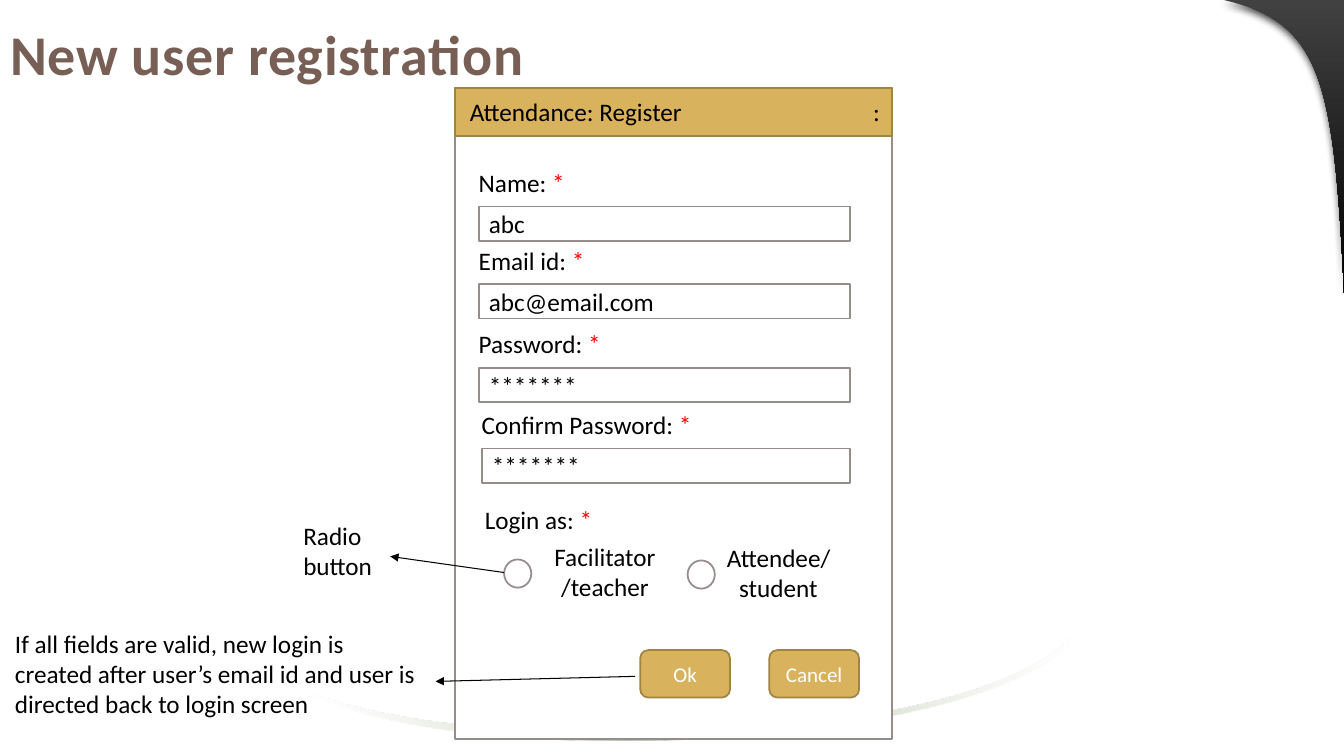
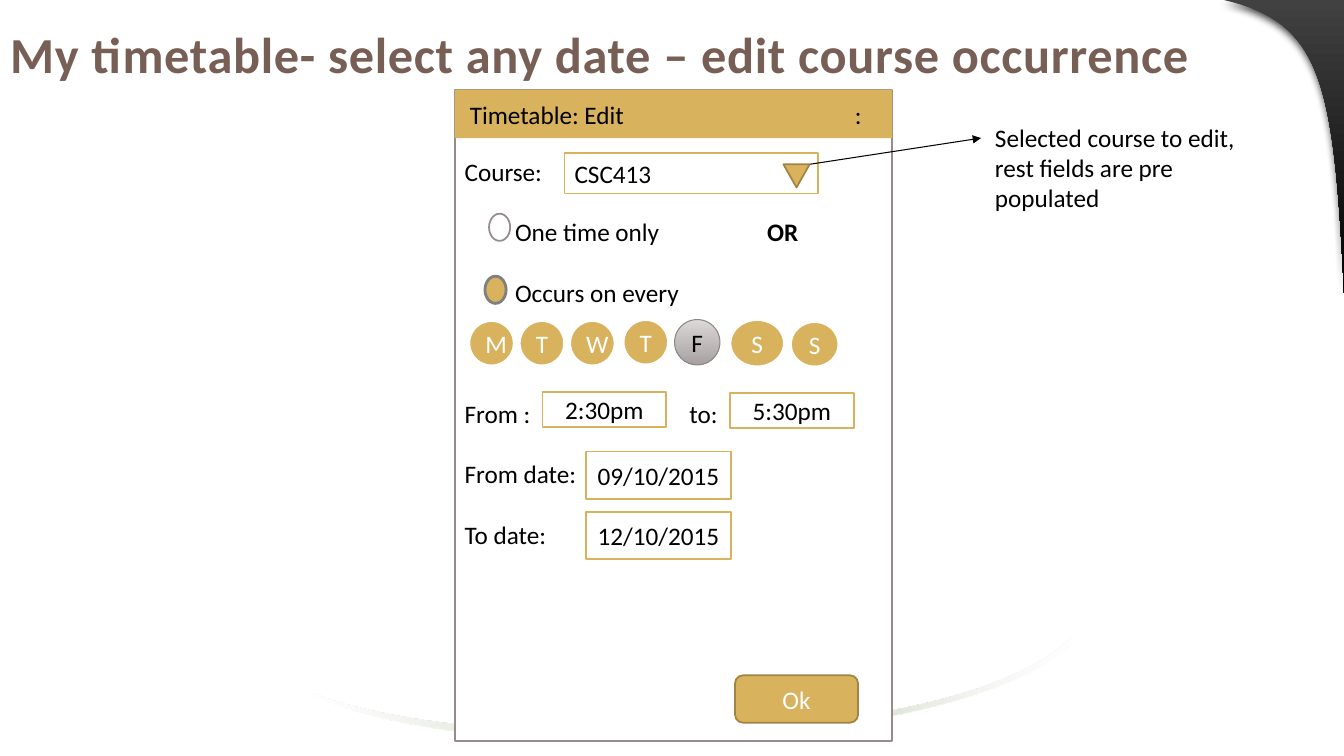
from dataclasses import dataclass

from lxml import etree
from pptx import Presentation
from pptx.dml.color import RGBColor
from pptx.enum import shapes, text
from pptx.oxml.ns import qn
from pptx.util import Inches, Pt

KIND = shapes.MSO_SHAPE
ALIGN = text.PP_ALIGN
ANCHOR = text.MSO_ANCHOR


@dataclass(frozen=True)
class Theme:
    font: str = "Calibri"
    ink: str = "000000"
    white: str = "FFFFFF"
    red: str = "FF0000"
    brown: str = "775F55"
    gold: str = "D8B25C"
    bronze: str = "A08444"
    gray: str = "968C8C"
    steel: str = "808080"
    dusk: str = "8F8686"
    leaf: str = "9CB084"
    silver: tuple = (("DCD9D9", 100), ("A7A0A0", 100))
    night: tuple = (("414141", 100), ("000000", 100))
    head: int = 40
    long: int = 36
    body: int = 18
    small: int = 15
    thin: float = 0.75
    edge: float = 1.25
    thick: float = 2


def rgb(code):
    return RGBColor.from_string(code)


def node(parent, tag, **attrs):
    return etree.SubElement(parent, qn(tag), {k: str(v) for k, v in attrs.items()})


def tint(parent, code, alpha=100):
    """Add a colour element, with its opacity in percent."""
    color = node(parent, "a:srgbClr", val=code)
    if alpha < 100:
        node(color, "a:alpha", val=alpha * 1000)


def cast(parent, blur, dist, angle, alpha):
    """Add an outer shadow to an effect list."""
    drop = node(parent, "a:outerShdw", blurRad=Pt(blur), dist=Pt(dist),
                dir=angle * 60000, algn="tl", rotWithShape=0)
    tint(drop, "000000", alpha)


def blend(shape, stops, angle=270):
    """Fill with evenly spaced (colour, opacity) stops."""
    shape.fill.gradient()
    shape.fill.gradient_angle = angle
    marks = shape.element.spPr.find(qn("a:gradFill")).find(qn("a:gsLst"))
    for old in list(marks):
        marks.remove(old)
    for i, (code, alpha) in enumerate(stops):
        stop = node(marks, "a:gs", pos=100000 * i // (len(stops) - 1))
        tint(stop, code, alpha)


def curve(a, b, c, d, steps=32):
    """Points of a cubic Bezier curve, in EMU."""
    points = []
    for i in range(steps + 1):
        t = i / steps
        s = 1 - t
        points.append(tuple(
            Inches(s**3 * p + 3 * s * s * t * q + 3 * s * t * t * r + t**3 * e)
            for p, q, r, e in zip(a, b, c, d)))
    return points


class Deck:
    def __init__(self, theme):
        self.theme = theme
        self.file = Presentation()
        self.file.slide_width = Inches(13.33)
        self.file.slide_height = Inches(7.5)
        self.base = self.file.slide_layouts[5]

    def put(self, frame, words, size=None, color=None, bold=False,
            align=ALIGN.LEFT, anchor=ANCHOR.MIDDLE, tab=None, inset=0.1):
        """Set words: a string, or a list of (string, colour) runs."""
        frame.word_wrap = True
        frame.auto_size = text.MSO_AUTO_SIZE.NONE
        frame.vertical_anchor = anchor
        frame.margin_left = Inches(inset)
        line = frame.paragraphs[0]
        line.alignment = align
        if tab:
            stops = node(line._p.get_or_add_pPr(), "a:tabLst")
            node(stops, "a:tab", pos=Inches(tab), algn="l")
        color = color or self.theme.ink
        for part, hue in [(words, color)] if isinstance(words, str) else words:
            run = line.add_run()
            run.text = part
            run.font.name = self.theme.font
            run.font.size = Pt(size or self.theme.body)
            run.font.bold = bold
            run.font.color.rgb = rgb(hue)
        return line

    def page(self, title, width, size):
        self.slide = self.file.slides.add_slide(self.base)
        self.pen = self.slide.shapes
        if len(self.file.slides) == 1:
            self.decor()
        box = self.pen.title
        box.left, box.top, box.width, box.height = map(Inches, (0, 0, width, 1.06))
        line = self.put(box.text_frame, title, size=size,
                        color=self.theme.brown, bold=True)
        props = line.runs[0]._r.get_or_add_rPr()
        props.set("spc", "50")
        glow = etree.Element(qn("a:effectLst"))
        cast(glow, 3, 3, 45, 45)
        props.find(qn("a:solidFill")).addnext(glow)

    def outline(self, points, stops, angle):
        maker = self.pen.build_freeform(*points[0], scale=1.0)
        maker.add_line_segments(points[1:], close=True)
        shape = maker.convert_to_shape()
        shape.shadow.inherit = False
        shape.line.fill.background()
        blend(shape, stops, angle)
        return shape

    def decor(self):
        """Draw the swoosh and corner, then hand them to the layout."""
        under = curve((10.62, 6.4), (9.55, 7.43), (4.72, 7.65), (3.12, 6.9))
        over = curve((3.12, 6.88), (4.72, 7.5), (9.55, 7.42), (10.62, 6.33))
        fade = (self.theme.white, 30)
        swoosh = self.outline(under + over, (fade, (self.theme.leaf, 100), fade), 0)
        bend = curve((13.33, 2.91), (13.23, 0.78), (13.1, 0.23), (12.14, 0))
        corner = self.outline(bend + [(Inches(13.33), 0)], self.theme.night, 270)
        cast(corner.element.spPr.find(qn("a:effectLst")), 6, 3, 90, 75)
        for i, shape in enumerate((swoosh, corner)):
            shape.element.nvSpPr.cNvPr.set("id", str(101 + i))
            self.base.shapes.element.insert(2 + i, shape.element)

    def shape(self, kind, at, words=None, fill=None, line=None, edge=None, **form):
        item = self.pen.add_shape(kind, *map(Inches, at))
        item.shadow.inherit = False
        if isinstance(fill, tuple):
            blend(item, fill)
        else:
            item.fill.solid()
            item.fill.fore_color.rgb = rgb(fill or self.theme.white)
        if line:
            item.line.color.rgb = rgb(line)
            item.line.width = Pt(edge or self.theme.edge)
        else:
            item.line.fill.background()
        if words:
            self.put(item.text_frame, words, **form)
        return item

    def label(self, at, words, **form):
        box = self.pen.add_textbox(*map(Inches, at))
        self.put(box.text_frame, words, **form)

    def note(self, at, words):
        self.label(at, words, anchor=ANCHOR.TOP)

    def must(self, left, top, words):
        """Label of a required field."""
        self.label((left, top, 2.36, 0.34),
                   [(words + " ", self.theme.ink), ("*", self.theme.red)])

    def panel(self, top, words, tab, line=None):
        self.shape(KIND.RECTANGLE, (4.51, top, 4.34, 6.46), line=self.theme.gray)
        self.shape(KIND.RECTANGLE, (4.51, top, 4.34, 0.48), words + "\t:",
                   fill=self.theme.gold, line=line, tab=tab, inset=0.15)

    def field(self, at, words, line=None, **form):
        self.shape(KIND.RECTANGLE, at, words, line=line or self.theme.gold, **form)

    def button(self, at, words, size=None):
        self.shape(KIND.ROUNDED_RECTANGLE, at, words, fill=self.theme.gold,
                   line=self.theme.bronze, color=self.theme.white, size=size,
                   align=ALIGN.CENTER)

    def radio(self, at, **look):
        self.shape(KIND.OVAL, at, **{"line": self.theme.gray, **look})

    def arrow(self, *ends):
        line = self.pen.add_connector(shapes.MSO_CONNECTOR.STRAIGHT,
                                      *map(Inches, ends))
        line.line.color.rgb = rgb(self.theme.ink)
        line.line.width = Pt(self.theme.thin)
        props = line.element.spPr
        node(props.find(qn("a:ln")), "a:tailEnd", type="triangle")
        node(props, "a:effectLst")

    def days(self, spots):
        """Group of weekday circles; a picked day is silver."""
        self.pen = self.slide.shapes.add_group_shape().shapes
        for name, at, on in spots:
            look = (dict(fill=self.theme.silver, line=self.theme.dusk,
                         edge=self.theme.thin) if on else
                    dict(fill=self.theme.gold, line=self.theme.white,
                         edge=self.theme.thick, color=self.theme.white))
            self.shape(KIND.OVAL, at, name, align=ALIGN.CENTER, **look)
        self.pen = self.slide.shapes


def signup(deck):
    look = deck.theme
    deck.page("New user registration", 11.32, look.head)
    deck.panel(0.87, "Attendance: Register", 4, look.bronze)
    for words, value, left, top in (
            ("Name:", "abc", 4.75, 2.05),
            ("Email id:", "abc@email.com", 4.75, 2.82),
            ("Password:", "*******", 4.75, 3.65),
            ("Confirm Password:", "*******", 4.78, 4.45)):
        deck.must(left - 0.1, top - 0.41, words)
        deck.field((left, top, 8.43 - left, 0.34), value, look.gray)
    deck.must(4.71, 4.98, "Login as:")
    for words, dot, left, top in (("Facilitator/teacher", 5, 5.39, 5.5),
                                  ("Attendee/student", 6.82, 7.11, 5.51)):
        deck.radio((dot, top + 0.05, 0.27, 0.28))
        deck.label((left, top, 1.22, 0.34), words, align=ALIGN.CENTER)
    for words, left in (("Ok", 6.35), ("Cancel", 7.63)):
        deck.button((left, 6.45, 0.89, 0.47), words, look.small)
    deck.arrow(5, 5.68, 3.87, 5.52)
    deck.note((2.91, 5.11, 1.43, 0.71), "Radio button")
    deck.arrow(6.3, 6.71, 4.32, 6.76)
    deck.note((0.05, 6.18, 4.18, 1.01),
              "If all fields are valid, new login is created after user’s "
              "email id and user is directed back to login screen")


def edit(deck):
    look = deck.theme
    deck.page("My timetable- select any date – edit course occurrence",
              12.34, look.long)
    deck.panel(0.89, "Timetable: Edit", 3.82)
    for words, left, row in (
            ("Course:", 4.51, 0), ("One time only", 5.01, 1),
            ("Occurs on every", 5.01, 2), ("From :", 4.51, 4),
            ("to:", 6.74, 4), ("From date:", 4.51, 5), ("To date:", 4.51, 6)):
        deck.label((left, 1.53 + 0.6 * row, 2, 0.34), words)
    deck.label((7.51, 2.13, 0.8, 0.34), "OR", bold=True)
    deck.days([(name, (left, top, wide, high), name == "F")
               for name, left, top, wide, high in (
                   ("M", 4.65, 3.18, 0.45, 0.45), ("T", 5.15, 3.18, 0.45, 0.45),
                   ("W", 5.65, 3.18, 0.45, 0.45), ("T", 6.18, 3.17, 0.45, 0.45),
                   ("F", 6.69, 3.17, 0.45, 0.45), ("S", 7.24, 3.17, 0.54, 0.47),
                   ("S", 7.84, 3.19, 0.48, 0.45))])
    deck.field((5.6, 1.52, 2.51, 0.4), "CSC413")
    for words, at in (("2:30pm", (5.38, 3.89, 1.23, 0.35)),
                      ("5:30pm", (7.24, 3.9, 1.23, 0.35)),
                      ("09/10/2015", (5.81, 4.48, 1.44, 0.47)),
                      ("12/10/2015", (5.81, 5.08, 1.44, 0.47))):
        deck.field(at, words, align=ALIGN.CENTER)
    deck.button((7.29, 6.7, 1.22, 0.47), "Ok")
    deck.arrow(8.03, 1.63, 9.73, 1.37)
    deck.note((9.77, 1.16, 2.94, 1.01),
              "Selected course to edit, rest fields are pre populated")
    deck.radio((4.85, 2.12, 0.21, 0.27))
    deck.radio((4.81, 2.74, 0.21, 0.27), fill=look.gold, line=look.steel,
               edge=look.thick)
    drop = deck.shape(KIND.ISOSCELES_TRIANGLE, (7.77, 1.63, 0.26, 0.23),
                      fill=look.gold, line=look.bronze)
    drop.rotation = 180


def main():
    deck = Deck(Theme())
    signup(deck)
    edit(deck)
    deck.file.save("out.pptx")


if __name__ == "__main__":
    main()
